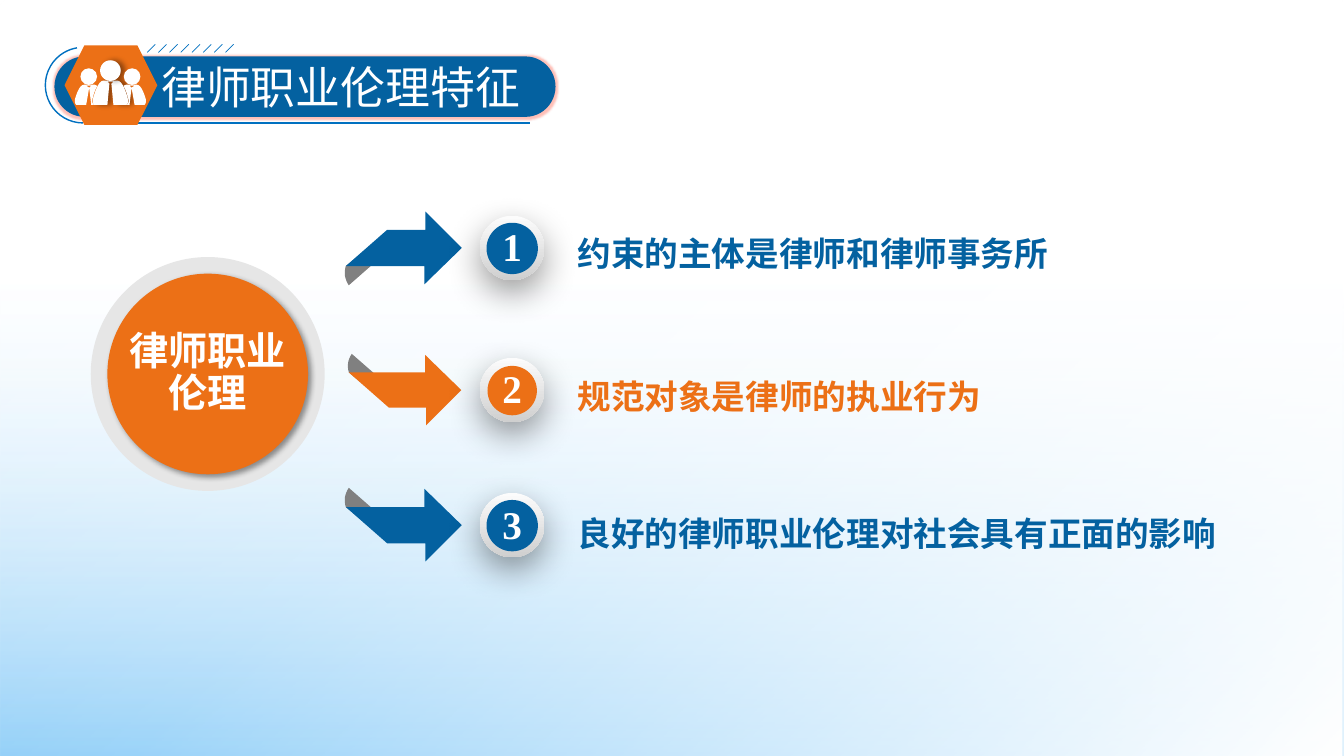
from dataclasses import dataclass
from typing import Any, NamedTuple, Optional

from lxml.etree import SubElement
from pptx import Presentation
from pptx.dml.color import RGBColor
from pptx.enum.shapes import MSO_CONNECTOR as Link, MSO_SHAPE as Preset
from pptx.enum.text import MSO_ANCHOR as Anchor, MSO_AUTO_SIZE as Fit, PP_ALIGN as Align
from pptx.oxml.ns import qn
from pptx.util import Emu, Inches, Pt

CELL = Inches(0.1)  # the grid has 133.3 columns and 75 rows
COLUMNS, ROWS = 133.3, 75


@dataclass(frozen=True)
class Theme:
    blue: str = "0461A0"
    orange: str = "EC7016"
    trim: str = "0070C0"
    white: str = "FFFFFF"
    ring: str = "E6E6E6"
    fold: str = "808080"
    glow: str = "FF8070"
    sky: str = "67BDF6"
    silver: tuple[str, str] = ("FCFCFC", "CFCFCF")
    serif: str = "Times New Roman"
    sans: str = "Noto Sans CJK SC"
    title_size: int = 32
    accent_size: int = 28
    label_size: int = 24


class Box(NamedTuple):
    x: float
    y: float
    w: float
    h: float


class Stop(NamedTuple):
    percent: int
    color: str
    alpha: int = 100


class Shadow(NamedTuple):
    blur: int
    distance: int
    angle: int


@dataclass(frozen=True)
class Feature:
    number: str
    wording: str
    color: str
    center: float
    label_top: float
    label_width: float
    disc: float = 5.1
    arrow_left: float = 34.3
    arrow_scale: float = 1
    flip: int = -1


THEME = Theme()
FEATURES = (
    Feature("1", "约束的主体是律师和律师事务所", THEME.blue, 24.6, 21.8, 52, flip=1),
    Feature("2", "规范对象是律师的执业行为", THEME.orange, 38.7, 36, 49.8, 4.9, 34.6, 0.97),
    Feature("3", "良好的律师职业伦理对社会具有正面的影响", THEME.blue, 52.1, 49.6, 67.1),
)

# Outlines in cells: a pair is a corner, six numbers are a cubic curve
Outline = tuple[tuple[float, ...], ...]
ARROW: Outline = ((0, 1.8), (4.1, -1.8), (7.9, -1.8), (7.9, -3.6), (11.5, 0), (7.8, 3.6), (7.8, 1.8))
FOLD: Outline = ((1.7, 0.4), (0, 1.8), (-0.2, 2.5, -0.1, 3.1, 0.3, 3.7), (3.5, 0.9),
                 (3, 0.4, 2.3, 0.2, 1.7, 0.4))
LEADER_HALF: Outline = ((0.7, 2), (1.2, 2, 1.6, 3.3, 1.7, 3.7), (1.9, 4.2, 1.6, 4.4, 1.6, 4.4),
                        (0.3, 4.4), (0.1, 2.3), (0.3, 2.1))
MEMBER: Outline = ((-2.6, 2.4), (-3.1, 2.4, -3.4, 3.5, -3.5, 3.8), (-3.6, 4.2, -3.4, 4.4, -3.4, 4.4),
                   (-2.4, 4.4), (-2.1, 2.7), (-2.4, 2.5), (-1.9, 2.5), (-2.1, 2.7), (-1.9, 4.4),
                   (-1.6, 4.4), (-1.8, 4.3, -1.9, 4, -1.7, 3.6), (-1.7, 3.4, -1.5, 2.9, -1.3, 2.5),
                   (-1.4, 2.5, -1.5, 2.4, -1.6, 2.4))

deck = Presentation()
deck.slide_width, deck.slide_height = Inches(13.33), Inches(7.5)
slide = deck.slides.add_slide(deck.slide_layouts[5])


def cells(amount: float) -> Emu:
    return Emu(round(amount * CELL))


def rgb(color: str) -> RGBColor:
    return RGBColor.from_string(color)


def apply(target: Any, formats: dict[str, Any]) -> None:
    for attribute, value in formats.items():
        setattr(target, attribute, value)


def tint(parent: Any, color: str, alpha: int) -> None:
    clr = SubElement(parent, qn("a:srgbClr"), val=color)
    SubElement(clr, qn("a:alpha"), val=str(alpha * 1000))


def finish(shape: Any, color: str, shadow: Optional[Shadow] = None) -> Any:
    shape.shadow.inherit = False
    shape.fill.solid()
    shape.fill.fore_color.rgb = rgb(color)
    shape.line.fill.background()
    if shadow:
        effects = shape.element.spPr.find(qn("a:effectLst"))
        outer = SubElement(effects, qn("a:outerShdw"), blurRad=str(Pt(shadow.blur)),
                           dist=str(Pt(shadow.distance)), dir=str(shadow.angle * 60000),
                           algn="ctr", rotWithShape="0")
        tint(outer, "000000", 40)
    return shape


def add_preset(kind: Preset, box: Box, color: str, shadow: Optional[Shadow] = None) -> Any:
    return finish(slide.shapes.add_shape(kind, *map(cells, box)), color, shadow)


def add_disc(x: float, y: float, size: float, color: str, shadow: Optional[Shadow] = None) -> Any:
    return add_preset(Preset.OVAL, Box(x - size / 2, y - size / 2, size, size), color, shadow)


def shade(shape: Any, stops: tuple[Stop, ...], angle: int) -> None:
    shape.fill.background()
    old = shape.element.spPr.find(qn("a:noFill"))
    gradient = old.makeelement(qn("a:gradFill"), {"rotWithShape": "1"})
    stop_list = SubElement(gradient, qn("a:gsLst"))
    for stop in stops:
        tint(SubElement(stop_list, qn("a:gs"), pos=str(stop.percent * 1000)), stop.color, stop.alpha)
    SubElement(gradient, qn("a:lin"), ang=str(angle * 60000), scaled="0")
    shape.element.spPr.replace(old, gradient)


def flatten(outline: Outline) -> list[tuple[float, float]]:
    points: list[tuple[float, float]] = []
    for step in outline:
        if len(step) == 2:
            points.append((step[0], step[1]))
            continue
        x0, y0 = points[-1]
        x1, y1, x2, y2, x3, y3 = step
        for t in (k / 8 for k in range(1, 9)):
            a, b, c, d = (1 - t) ** 3, 3 * t * (1 - t) ** 2, 3 * t * t * (1 - t), t ** 3
            points.append((a * x0 + b * x1 + c * x2 + d * x3, a * y0 + b * y1 + c * y2 + d * y3))
    return points


def add_outline(points: list[tuple[float, float]], x: float, y: float, color: str,
                sx: float = 1, sy: float = 1, shadow: Optional[Shadow] = None) -> None:
    placed = [(cells(x + px * sx), cells(y + py * sy)) for px, py in points]
    builder = slide.shapes.build_freeform(*placed[0])
    builder.add_line_segments(placed[1:], close=True)
    finish(builder.convert_to_shape(), color, shadow)


def add_line(x1: float, y1: float, x2: float, y2: float, width: float) -> None:
    link = slide.shapes.add_connector(Link.STRAIGHT, *map(cells, (x1, y1, x2, y2)))
    link.line.color.rgb, link.line.width = rgb(THEME.trim), Pt(width)
    SubElement(link.element.spPr, qn("a:effectLst"))


def write(holder: Any, wording: str, font: str, size: int, color: str, bold: bool,
          frame: dict[str, Any], paragraph: dict[str, Any]) -> None:
    text = holder.text_frame
    text.text = wording
    apply(text, {"word_wrap": True, "vertical_anchor": Anchor.TOP,
                 "auto_size": Fit.SHAPE_TO_FIT_TEXT} | frame)
    apply(text.paragraphs[0], paragraph)
    run = text.paragraphs[0].runs[0]
    apply(run.font, {"name": font, "size": Pt(size), "bold": bold})
    run.font.color.rgb = rgb(color)
    if font == THEME.sans:
        SubElement(run.font._element, qn("a:ea"), typeface=font)


def add_text(box: Box, *content: Any) -> None:
    write(slide.shapes.add_textbox(*map(cells, box)), *content)


# Backdrop
for reach, last, angle in ((37, Stop(100, THEME.sky, 88), 90), (42, Stop(100, THEME.white), 45)):
    wash = add_preset(Preset.RECTANGLE, Box(0, 0, COLUMNS, ROWS), THEME.white)
    shade(wash, (Stop(0, THEME.white, 0), Stop(reach, THEME.white, 25), last), angle)

# Title banner
rim = add_preset(Preset.ARC, Box(4.5, 4.7, 7.5, 7.5), THEME.white)
rim.fill.background()
rim.line.color.rgb, rim.line.width = rgb(THEME.trim), Pt(1)
rim.adjustments[0], rim.adjustments[1] = 53.91, 156.32
add_line(8.3, 12.2, 52.6, 12.2, 1)
banner = add_preset(Preset.ROUNDED_RECTANGLE, Box(5.4, 5.6, 49.7, 6), THEME.blue)
banner.adjustments[0] = 0.5
halo = SubElement(banner.element.spPr.find(qn("a:effectLst")), qn("a:glow"), rad=str(Pt(3)))
tint(halo, THEME.glow, 50)
for hatch in range(8):
    left = 14.6 + 1.11 * hatch
    add_line(left + 0.8, 4.4, left, 5.2, 0.5)

title = slide.shapes.title
apply(title, dict(zip(("left", "top", "width", "height"), map(cells, Box(15, 5.4, 39.5, 6.4)))))
write(title, "律师职业伦理特征", THEME.serif, THEME.title_size, THEME.white, False,
      {"auto_size": Fit.NONE}, {"alignment": Align.LEFT})
title.element.getparent().append(title.element)  # above the banner

# Team badge
add_preset(Preset.HEXAGON, Box(6.4, 4.5, 9.2, 7.9), THEME.orange)
half = flatten(LEADER_HALF)
lift = Shadow(4, 3, 0)
add_outline(half + [(-x, y) for x, y in reversed(half)], 10.95, 6, THEME.white, shadow=lift)
add_disc(10.95, 7, 2.05, THEME.white, lift)
for side in (1, -1):
    add_outline(flatten(MEMBER), 10.95, 6, THEME.white, side)
    add_disc(10.95 - 2.15 * side, 7.6, 1.65, THEME.white)

# Hub
add_disc(20.6, 37.1, 23.2, THEME.ring)
add_disc(20.6, 37.1, 19.9, THEME.orange, Shadow(4, 3, 45))
add_text(Box(12.4, 32.8, 16.4, 8.6), "律师职业伦理", THEME.sans, THEME.accent_size, THEME.white, True,
         {"margin_left": 0, "margin_right": 0, "margin_top": Inches(0.01), "margin_bottom": 0},
         {"alignment": Align.CENTER, "line_spacing": 0.9})

# Features: arrow, numbered badge, label
for item in FEATURES:
    for outline, color in ((FOLD, THEME.fold), (ARROW, item.color)):
        add_outline(flatten(outline), item.arrow_left, item.center, color,
                    item.arrow_scale, item.arrow_scale * item.flip)
    button = add_disc(50.8, item.center, 6.4, THEME.ring, Shadow(25, 9, 90))
    shade(button, (Stop(0, THEME.silver[0]), Stop(100, THEME.silver[1])), 90)
    add_disc(50.8, item.center + 0.05, item.disc, item.color)
    add_text(Box(48.8, item.center - 3, 4, 5.7), item.number, THEME.serif, THEME.accent_size,
             THEME.white, True, {"word_wrap": False}, {"alignment": Align.CENTER})
    add_text(Box(56.3, item.label_top, item.label_width, 5.5), item.wording, THEME.sans,
             THEME.label_size, item.color, True, {}, {"line_spacing": 1.2})

deck.save("out.pptx")
